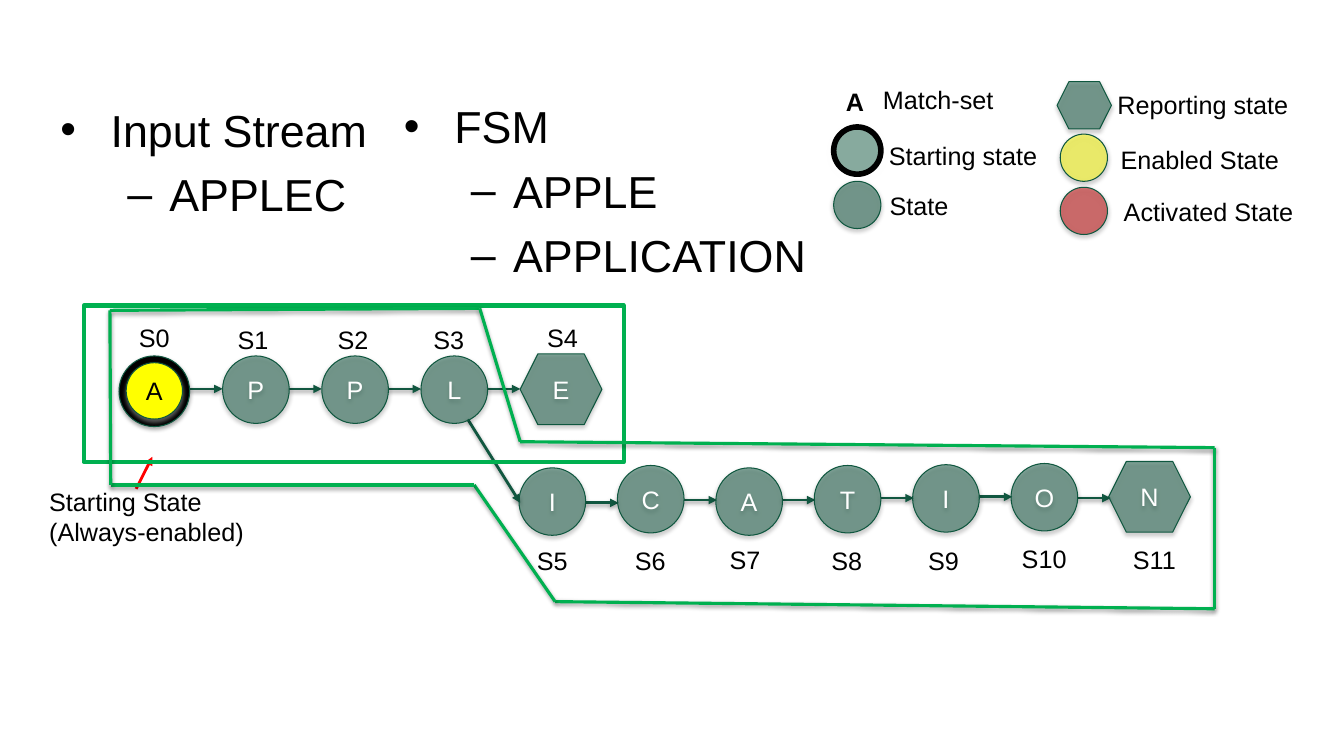
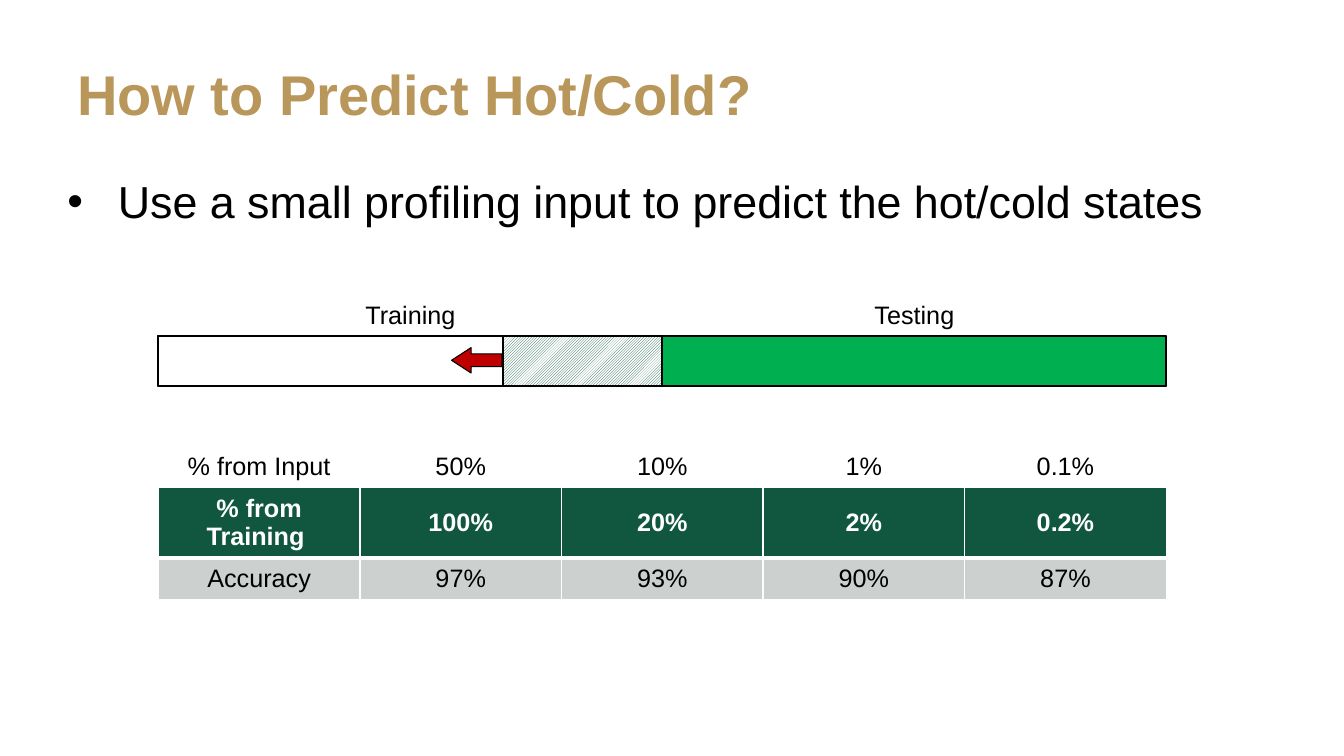
from dataclasses import dataclass
from itertools import pairwise
from typing import Optional

from lxml.etree import SubElement
from pptx import Presentation
from pptx.dml.color import RGBColor
from pptx.enum.dml import MSO_PATTERN
from pptx.enum.shapes import MSO_CONNECTOR, MSO_SHAPE
from pptx.enum.text import MSO_ANCHOR, PP_ALIGN
from pptx.oxml.ns import qn
from pptx.util import Cm, Pt

COLORS = {
    "black": "000000", "white": "FFFFFF", "gold": "B9975B", "pine": "115740",
    "outline": "0F573F", "green": "00B050", "yellow": "FFFF00",
    "red": "FF0000", "crimson": "C00000", "grey": "CCD1CF",
}
FONT = "Arial"
OVAL, HEXAGON, RECT = MSO_SHAPE.OVAL, MSO_SHAPE.HEXAGON, MSO_SHAPE.RECTANGLE


@dataclass(frozen=True)
class Bullet:
    char: str
    margin: float
    hang: float


@dataclass(frozen=True)
class Node:
    text: str
    left: float
    top: float
    label: str
    label_left: float
    label_top: float
    kind: MSO_SHAPE = OVAL


@dataclass(frozen=True)
class LegendItem:
    text: str
    left: float
    top: float
    width: float
    sym_left: float = 0
    sym_top: float = 0
    kind: Optional[MSO_SHAPE] = OVAL
    fill: str = "pine"
    line: str = "outline"
    weight: float = 0.75
    shadow: str = "black"


@dataclass(frozen=True)
class Segment:
    x1: float
    y1: float
    x2: float
    y2: float


MAIN = Bullet("•", 1.27, 1.27)
SUB = Bullet("–", 2.75, 1.06)
NODE_SIZE = {OVAL: (1.68, 1.7), HEXAGON: (2.06, 1.78)}
SYMBOL_SIZE = {OVAL: (1.19, 1.19), HEXAGON: (1.37, 1.19)}

# State machine: shared prefix with its short ending, then the long branch
TOP_PITCH, LOW_PITCH, ARROW = 2.5, 2.48, 0.83
TOP_NODES = [Node(c, 5.61 + i * TOP_PITCH, 8.97, f"S{i + 1}", x, 8.05)
             for i, (c, x) in enumerate(zip("PPL", (5.74, 8.26, 10.67)))]
TOP_NODES.append(Node("E", 13.11, 8.92, "S4", 13.54, 8.0, HEXAGON))
LOW_TOPS = (11.79, 11.73, 11.79, 11.73, 11.71, 11.68)
LOW_LABELS = ((13.28, 13.61), (15.75, 13.61), (18.14, 13.59),
              (20.7, 13.61), (23.14, 13.61), (25.5, 13.56))
LOW_NODES = [Node(c, 13.08 + i * LOW_PITCH, top, f"S{i + 5}", *at)
             for i, (c, top, at) in enumerate(zip("ICATIO", LOW_TOPS, LOW_LABELS))]
LOW_NODES.append(Node("N", 27.94, 11.63, "S11", 28.3, 13.59, HEXAGON))
ARROW_YS = (12.67, 12.6, 12.6, 12.55, 12.52, 12.55)
ARROWS = [Segment(x, 9.8, x + ARROW, 9.8)
          for x in (4.78 + i * TOP_PITCH for i in range(4))]
ARROWS.append(Segment(11.79, 10.57, 13.11, 12.67))
ARROWS += [Segment(14.76 + i * LOW_PITCH, y, 14.76 + i * LOW_PITCH + ARROW, y)
           for i, y in enumerate(ARROW_YS)]
BRANCH_OUTLINE = [(2.77, 7.82), (12.09, 7.77), (13.11, 11.13), (30.61, 11.28),
                  (30.61, 15.34), (13.99, 15.16), (11.95, 12.22), (2.79, 12.22),
                  (2.77, 7.82)]
LEGEND = [
    LegendItem("Match-set", 22.0, 2.01, 3.33, kind=None),
    LegendItem("Starting state", 22.15, 3.4, 4.29, 21.01, 3.2,
               line="black", weight=4, shadow="white"),
    LegendItem("State", 22.17, 4.67, 2.01, 21.01, 4.57),
    LegendItem("Reporting state", 27.91, 2.13, 4.85, 26.64, 2.06, HEXAGON),
    LegendItem("Enabled State", 27.99, 3.51, 4.55, 26.72, 3.38, fill="yellow"),
    LegendItem("Activated State", 28.07, 4.83, 4.83, 26.72, 4.72, fill="crimson"),
]


def rgb(name: str) -> RGBColor:
    return RGBColor.from_string(COLORS[name])


def write(tf, *lines: str, size=18, color="black", bold=False, align=PP_ALIGN.LEFT,
          anchor=MSO_ANCHOR.TOP, wrap=False, bullets=()) -> None:
    """Fill a text frame with one paragraph per line."""
    tf.word_wrap = wrap
    tf.vertical_anchor = anchor
    for i, line in enumerate(lines):
        p = tf.add_paragraph() if i else tf.paragraphs[0]
        p.alignment = align
        if bullets:
            if i:
                p.space_before = Pt(7.5)
            b = bullets[i]
            pPr = p._p.get_or_add_pPr()
            pPr.set("marL", str(Cm(b.margin)))
            pPr.set("indent", str(-Cm(b.hang)))
            SubElement(pPr, qn("a:buFont")).set("typeface", FONT)
            SubElement(pPr, qn("a:buChar")).set("char", b.char)
        r = p.add_run()
        r.text = line
        r.font.name, r.font.size, r.font.bold = FONT, Pt(size), bold
        r.font.color.rgb = rgb(color)


def add_text(s, left: float, top: float, width: float, height: float,
             *lines: str, **fmt):
    tf = s.shapes.add_textbox(Cm(left), Cm(top), Cm(width), Cm(height)).text_frame
    write(tf, *lines, **fmt)
    return tf


def add_bullets(s, left: float, top: float, width: float, height: float,
                *lines: str) -> None:
    tf = add_text(s, left, top, width, height, *lines, size=32, wrap=True,
                  bullets=[MAIN] + [SUB] * (len(lines) - 1))
    tf.margin_top = Cm(0.24)


def set_shadow(spPr, color: Optional[str], alpha: int, distance: float) -> None:
    """Add an effect list, left empty when there is no shadow colour."""
    effects = spPr.find(qn("a:effectLst"))
    if effects is None:
        effects = SubElement(spPr, qn("a:effectLst"))
    if color:
        sh = SubElement(effects, qn("a:outerShdw"), blurRad=str(Pt(3.1)),
                        dist=str(Pt(distance)), dir="5400000", rotWithShape="0")
        clr = SubElement(sh, qn("a:srgbClr"), val=COLORS[color])
        SubElement(clr, qn("a:alpha"), val=str(alpha * 1000))


def add_shape(s, kind: MSO_SHAPE, left: float, top: float, width: float,
              height: float, fill: Optional[str] = None, line="black", weight=1.5,
              half=False, shadow: Optional[str] = None, text="", color="white"):
    sp = s.shapes.add_shape(kind, Cm(left), Cm(top), Cm(width), Cm(height))
    if fill:
        sp.fill.solid()
        sp.fill.fore_color.rgb = rgb(fill)
        if half:
            clr = sp._element.spPr.find(qn("a:solidFill"))[0]
            SubElement(clr, qn("a:alpha"), val="50000")
    else:
        sp.fill.background()
    sp.line.color.rgb = rgb(line)
    sp.line.width = Pt(weight)
    sp.shadow.inherit = False
    set_shadow(sp._element.spPr, shadow, 35, 1.8)
    if text:
        write(sp.text_frame, text, color=color, align=PP_ALIGN.CENTER,
              anchor=MSO_ANCHOR.MIDDLE)
    return sp


def add_line(s, seg: Segment, color: str, weight: float, arrow=False,
             shadow: Optional[str] = "black") -> None:
    c = s.shapes.add_connector(MSO_CONNECTOR.STRAIGHT, Cm(seg.x1), Cm(seg.y1),
                               Cm(seg.x2), Cm(seg.y2))
    c.line.color.rgb = rgb(color)
    c.line.width = Pt(weight)
    if arrow:
        SubElement(c.line._get_or_add_ln(), qn("a:tailEnd"), type="triangle")
    set_shadow(c._element.spPr, shadow, 38, 1.6)


def add_node(s, node: Node) -> None:
    add_shape(s, node.kind, node.left, node.top, *NODE_SIZE[node.kind], "pine",
              "outline", 0.75, half=True, shadow="black", text=node.text)
    add_text(s, node.label_left, node.label_top,
             1.3 if len(node.label) == 2 else 1.68, 1.02, node.label)


def add_legend_item(s, item: LegendItem) -> None:
    if item.kind is not None:
        add_shape(s, item.kind, item.sym_left, item.sym_top, *SYMBOL_SIZE[item.kind],
                  item.fill, item.line, item.weight, half=True, shadow=item.shadow)
    add_text(s, item.left, item.top, item.width, 1.02, item.text)


def set_borders(cell, bottom: float) -> None:
    """White cell borders; they stand before the fill in the cell properties."""
    tcPr = cell._tc.get_or_add_tcPr()
    for i, (side, width) in enumerate((("L", 1), ("R", 1), ("T", 1), ("B", bottom))):
        ln = SubElement(tcPr, qn(f"a:ln{side}"), w=str(Pt(width)))
        fill = SubElement(ln, qn("a:solidFill"))
        SubElement(fill, qn("a:srgbClr"), val=COLORS["white"])
        tcPr.insert(i, ln)


def add_table(s, top: float, heights: list[float], rows: list[list[str]],
              fills: list[Optional[str]], header=False) -> None:
    tbl = s.shapes.add_table(len(rows), len(rows[0]), Cm(3.99), Cm(top),
                             Cm(25.4), Cm(sum(heights))).table
    tbl.first_row, tbl.horz_banding = header, False
    for i, (row, height, fill) in enumerate(zip(rows, heights, fills)):
        tbl.rows[i].height = Cm(height)
        head = header and i == 0
        for j, value in enumerate(row):
            cell = tbl.cell(i, j)
            if fill:
                cell.fill.solid()
                cell.fill.fore_color.rgb = rgb(fill)
            else:
                cell.fill.background()
            set_borders(cell, 3 if head else 1)
            write(cell.text_frame, value, bold=head, wrap=True,
                  color="white" if head else "black", align=PP_ALIGN.CENTER)
            cell.vertical_anchor = MSO_ANCHOR.MIDDLE


def build_state_machine(s) -> None:
    # Input and patterns
    add_bullets(s, 9.93, 2.26, 11.05, 6.4, "FSM", "APPLE", "APPLICATION")
    add_bullets(s, 1.27, 2.34, 11.46, 6.4, "Input Stream", "APPLEC")
    # Starting state note
    add_text(s, 0.99, 12.12, 5.46, 1.8, "Starting State", "(Always-enabled)")
    add_line(s, Segment(3.43, 12.32, 3.84, 11.51), "red", 2, arrow=True, shadow=None)
    # Legend
    add_text(s, 21.06, 2.06, 0.97, 1.02, "A", bold=True, align=PP_ALIGN.CENTER)
    for item in LEGEND:
        add_legend_item(s, item)
    # States and transitions
    for seg in ARROWS:
        add_line(s, seg, "pine", 2, arrow=True)
    for node in TOP_NODES + LOW_NODES:
        add_node(s, node)
    add_shape(s, OVAL, 3.0, 8.97, 1.78, 1.78, "black", "outline", 0.75, shadow="black")
    add_shape(s, OVAL, 3.18, 9.14, 1.42, 1.42, "yellow", "outline", 0.75,
              shadow="white", text="A", color="black")
    add_text(s, 3.25, 8.0, 1.3, 1.02, "S0")
    # Outlines of the two patterns
    add_shape(s, RECT, 2.11, 7.7, 13.61, 3.94, line="green", weight=3)
    for start, end in pairwise(BRANCH_OUTLINE):
        add_line(s, Segment(*start, *end), "green", 2.25)


def build_prediction(s) -> None:
    add_text(s, 1.7, 0.76, 30.48, 3.18, "How to Predict Hot/Cold?", size=40,
             color="gold", bold=True, anchor=MSO_ANCHOR.MIDDLE, wrap=True)
    add_bullets(s, 1.45, 4.14, 30.48, 3.73,
                "Use a small profiling input to predict the hot/cold states")
    # Split of the input
    bar = add_shape(s, RECT, 3.99, 8.46, 25.4, 1.27)
    bar.fill.patterned()
    bar.fill.pattern = MSO_PATTERN.DARK_UPWARD_DIAGONAL
    bar.fill.fore_color.rgb, bar.fill.back_color.rgb = rgb("pine"), rgb("white")
    add_shape(s, RECT, 16.69, 8.46, 12.7, 1.27, "green")
    add_shape(s, RECT, 3.99, 8.46, 8.69, 1.27, "white")
    for left, name in ((8.26, "Training"), (20.96, "Testing")):
        add_text(s, left, 7.42, 4.17, 1.02, name, align=PP_ALIGN.CENTER, wrap=True)
    arrow = add_shape(s, MSO_SHAPE.LEFT_ARROW, 11.38, 8.76, 1.27, 0.64,
                      "crimson", weight=0.75)
    arrow.adjustments[1] = 0.77
    # Accuracy tables
    add_table(s, 11.25, [1.04], [["% from Input", "50%", "10%", "1%", "0.1%"]], [None])
    add_table(s, 12.29, [1.77, 1.04],
              [["% from Training ", "100%", "20%", "2%", "0.2%"],
               ["Accuracy", "97%", "93%", "90%", "87%"]],
              ["pine", "grey"], header=True)


def main() -> None:
    prs = Presentation()
    prs.slide_width, prs.slide_height = Cm(33.87), Cm(19.05)
    for build in (build_state_machine, build_prediction):
        build(prs.slides.add_slide(prs.slide_layouts[6]))
    prs.save("out.pptx")


if __name__ == "__main__":
    main()
